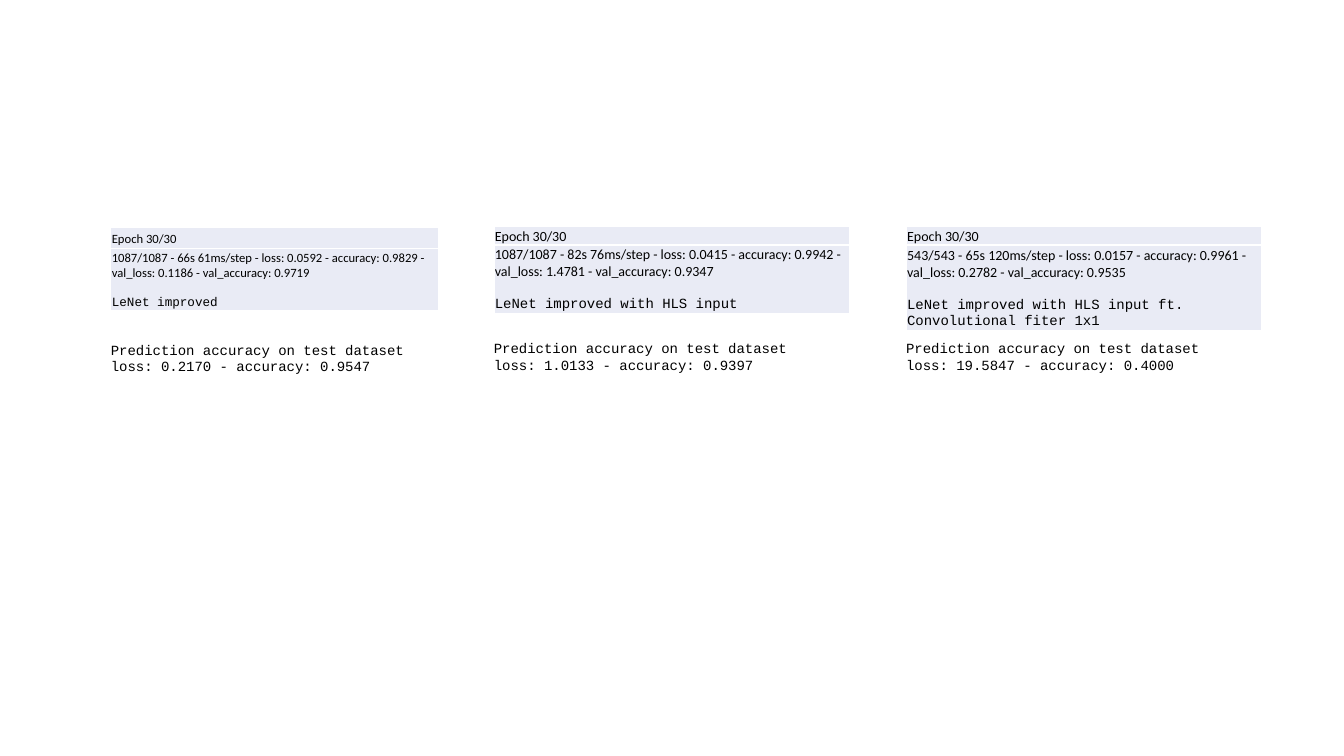
from lxml import etree
from pptx import Presentation
from pptx import util as u
from pptx.dml import color
from pptx.enum import text
from pptx.oxml import ns

Pt = u.Pt
WHITE, BAND, BLACK = "FFFFFF", "E9EBF5", "000000"
MONO = "Courier New"


def paint(fill, value):
    fill.solid()
    fill.fore_color.rgb = color.RGBColor.from_string(value)


def write(frame, content, size=10, font="Calibri", before=0, new=False):
    para = frame.add_paragraph() if new else frame.paragraphs[0]
    para.alignment = text.PP_ALIGN.LEFT
    para.space_before = Pt(before)
    span = para.add_run()
    span.text = content
    span.font.size = Pt(size)
    span.font.name = font
    paint(span.font.fill, BLACK)


deck = Presentation()
deck.slide_width, deck.slide_height = Pt(960), Pt(540)
page = deck.slides.add_slide(deck.slide_layouts[6])

results = [
    (79.2, 162.7, 234, 9, (15, 44), "LeNet improved",
     "1087/1087 - 66s 61ms/step - loss: 0.0592 - accuracy: 0.9829 - val_loss: 0.1186 - val_accuracy: 0.9719",
     243.4, "loss: 0.2170 - accuracy: 0.9547"),
    (352.8, 162, 254.2, 10, (13, 49), "LeNet improved with HLS input",
     "1087/1087 - 82s 76ms/step - loss: 0.0415 - accuracy: 0.9942 - val_loss: 1.4781 - val_accuracy: 0.9347",
     242.6, "loss: 1.0133 - accuracy: 0.9397"),
    (647.3, 162, 254.2, 10, (13, 61), "LeNet improved with HLS input ft. Convolutional fiter 1x1",
     "543/543 - 65s 120ms/step - loss: 0.0157 - accuracy: 0.9961 - val_loss: 0.2782 - val_accuracy: 0.9535",
     242.6, "loss: 19.5847 - accuracy: 0.4000"),
]

for left, top, width, size, heights, model, training, test_top, test in results:
    table = page.shapes.add_table(2, 1, Pt(left), Pt(top), Pt(width), Pt(sum(heights))).table
    table.first_row = table.horz_banding = False
    for row, height, content in zip(table.rows, heights, ("Epoch 30/30", training)):
        row.height = Pt(height)
        cell = row.cells[0]
        cell.margin_left = cell.margin_right = cell.margin_top = Pt(0.7)
        cell.margin_bottom = 0
        cell.vertical_anchor = text.MSO_ANCHOR.MIDDLE
        properties = cell._tc.get_or_add_tcPr()
        for side in ("a:lnL", "a:lnR", "a:lnT", "a:lnB"):
            border = etree.SubElement(properties, ns.qn(side), w=str(Pt(1)))
            solid = etree.SubElement(border, ns.qn("a:solidFill"))
            etree.SubElement(solid, ns.qn("a:srgbClr"), val=WHITE)
        paint(cell.fill, BAND)
        write(cell.text_frame, content, size=size)
    write(table.cell(1, 0).text_frame, model, size=size, font=MONO, before=size * 1.2, new=True)

    box = page.shapes.add_textbox(Pt(left), Pt(test_top), Pt(width), Pt(24.5))
    paint(box.fill, WHITE)
    frame = box.text_frame
    frame.word_wrap = True
    frame.auto_size = text.MSO_AUTO_SIZE.SHAPE_TO_FIT_TEXT
    frame.vertical_anchor = text.MSO_ANCHOR.MIDDLE
    frame.margin_left = frame.margin_right = frame.margin_top = frame.margin_bottom = 0
    write(frame, "Prediction accuracy on test dataset", font=MONO)
    write(frame, test, font=MONO, new=True)

deck.save("out.pptx")
